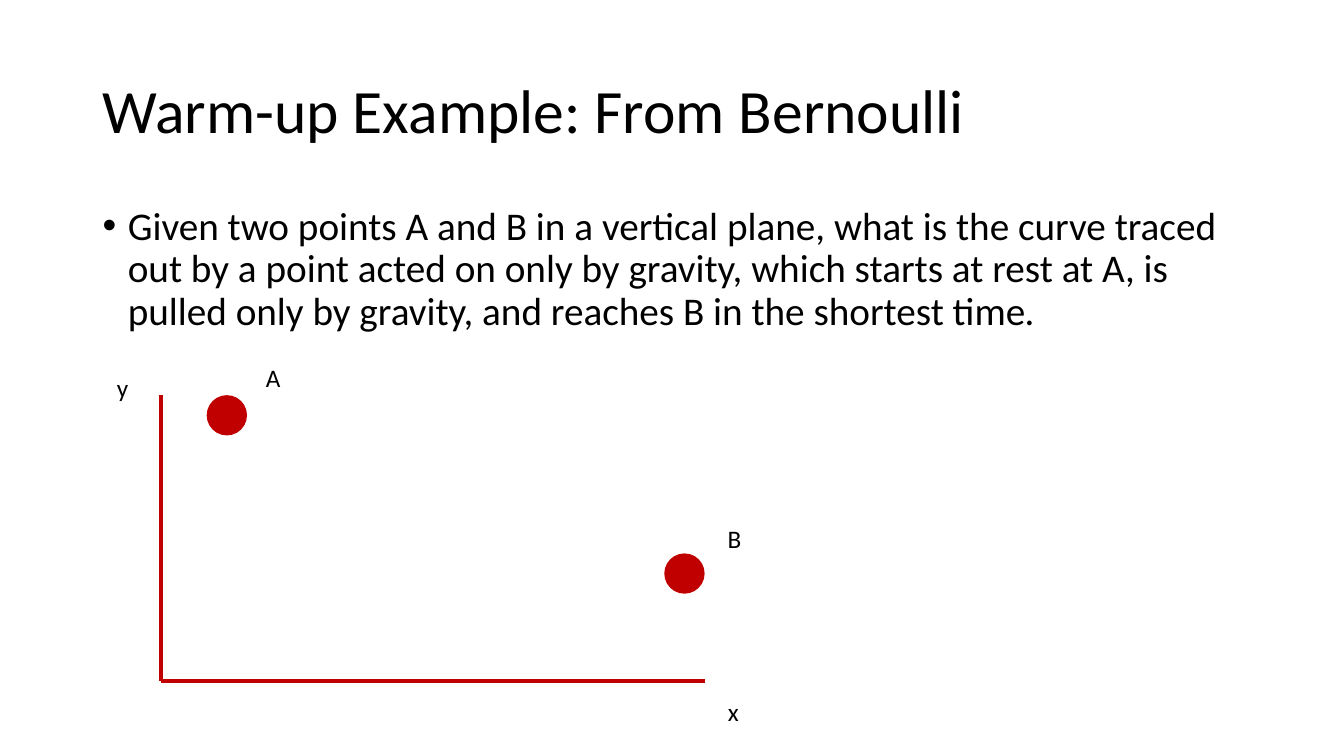
from pptx import Presentation
from pptx import util as u
from pptx.dml.color import RGBColor
from pptx.enum import shapes, text
from pptx.oxml.ns import qn
from lxml import etree

COLORS = {"ink": "000000", "red": "C00000"}

deck = Presentation()
deck.slide_width, deck.slide_height = u.Inches(13.333), u.Inches(7.5)
slide = deck.slides.add_slide(deck.slide_layouts[6])

# Grid of 100 columns by 100 rows
COL, ROW = deck.slide_width / 100, deck.slide_height / 100
MARGIN, CONTENT_WIDTH = 6.9, 86.25
DOT_COLS, DOT_ROWS = 3, 5.33


def place(left, top, width, height):
    return int(left * COL), int(top * ROW), int(width * COL), int(height * ROW)


def write(area, size, *runs):
    box = slide.shapes.add_textbox(*place(*area))
    frame = box.text_frame
    frame.word_wrap = True
    for words, italic in runs:
        run = frame.paragraphs[0].add_run()
        run.text = words
        run.font.name, run.font.size = "Calibri", u.Pt(size)
        run.font.italic = italic
        run.font.color.rgb = RGBColor.from_string(COLORS["ink"])
    return frame


# Title
title = write((MARGIN, 5.33, CONTENT_WIDTH, 19.33), 44,
              ("Warm-up Example: From Bernoulli", False))
title.vertical_anchor = text.MSO_ANCHOR.MIDDLE
title.paragraphs[0].line_spacing = 0.9

# Problem statement
problem = write((MARGIN, 26.67, CONTENT_WIDTH, 63.47), 28,
                ("Given two points A and B in a vertical plane, what is the curve "
                 "traced out by a point acted on only by gravity, which starts at "
                 "rest at A, is pulled only by gravity, and reaches B in the "
                 "shortest time", False),
                (".", True)).paragraphs[0]
problem.line_spacing = 0.9
indent = problem._p.get_or_add_pPr()
indent.set("marL", str(u.Inches(0.25)))
indent.set("indent", str(-u.Inches(0.25)))
etree.SubElement(indent, qn("a:buFont")).set("typeface", "Arial")
etree.SubElement(indent, qn("a:buChar")).set("char", "•")

# Axes, both drawn to the origin
AXIS_LEFT, AXIS_TOP, AXIS_RIGHT, AXIS_BOTTOM = 12, 52.27, 52.43, 90.13
for end_x, end_y in [(AXIS_LEFT, AXIS_TOP), (AXIS_RIGHT, AXIS_BOTTOM)]:
    axis = slide.shapes.add_connector(
        shapes.MSO_CONNECTOR.STRAIGHT,
        *place(end_x, end_y, AXIS_LEFT, AXIS_BOTTOM))
    axis.line.color.rgb = RGBColor.from_string(COLORS["red"])
    axis.line.width = u.Pt(3)
    etree.SubElement(axis._element.spPr, qn("a:effectLst"))

# Points A and B
for left, top in [(15.38, AXIS_TOP), (AXIS_RIGHT - DOT_COLS, 73.2)]:
    point = slide.shapes.add_shape(shapes.MSO_SHAPE.OVAL,
                                   *place(left, top, DOT_COLS, DOT_ROWS))
    point.shadow.inherit = False
    point.fill.solid()
    point.fill.fore_color.rgb = RGBColor.from_string(COLORS["red"])
    point.line.fill.background()

# Axis and point labels
for label, left, top, width in [("y", 7.95, 48.53, 2.78), ("x", 53.41, 91.47, 3.53),
                                ("A", 19.05, 47.33, 5.25), ("B", 53.41, 68.53, 5.25)]:
    write((left, top, width, DOT_ROWS), 18, (label, False))

deck.save("out.pptx")
